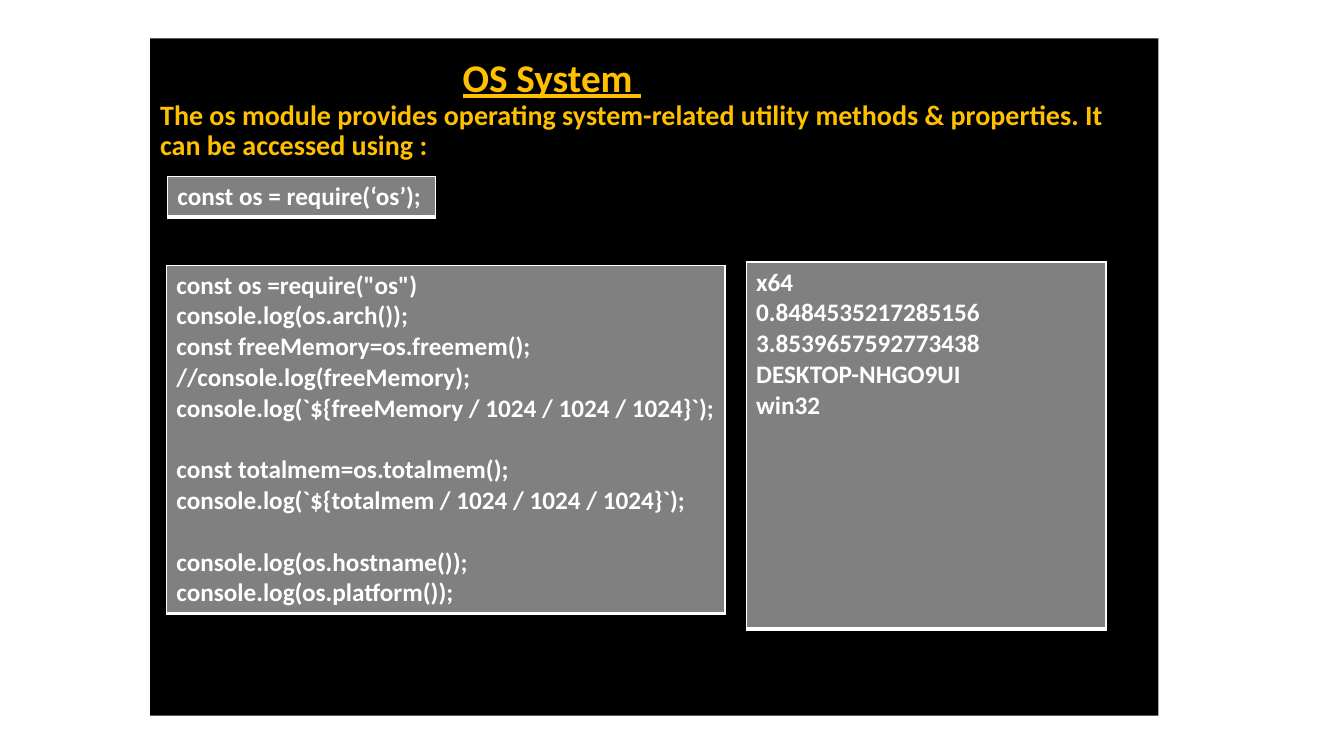
import pptx
import pptx.util
import pptx.dml.color
import pptx.enum.shapes
import pptx.enum.text
import pptx.oxml
import pptx.oxml.ns

Inches = pptx.util.Inches
Pt = pptx.util.Pt

COLORS = {"panel": "000000", "gold": "FFC000", "cell": "808080", "white": "FFFFFF"}
EDGES = {"lnL": 1, "lnR": 1, "lnT": 1, "lnB": 3}

IMPORT = ["const os = require(‘os’);"]
# Each group is set apart by one line of space.
CODE = [
    ['const os =require("os")',
     "console.log(os.arch());",
     "const freeMemory=os.freemem();",
     "//console.log(freeMemory);",
     "console.log(`${freeMemory / 1024 / 1024 / 1024}`);"],
    ["const totalmem=os.totalmem();",
     "console.log(`${totalmem / 1024 / 1024 / 1024}`);"],
    ["console.log(os.hostname());",
     "console.log(os.platform());"],
]
OUTPUT = ["x64", "0.8484535217285156", "3.8539657592773438", "DESKTOP-NHGO9UI", "win32"]
INTRO = ("The os module provides operating system-related utility methods "
         "& properties. It can be accessed using :")


class Deck:
    """Holds the current slide and its text style."""

    def __init__(self, font="Calibri"):
        self.font = font
        self.prs = pptx.Presentation()
        self.prs.slide_width = Inches(13.33)
        self.prs.slide_height = Inches(7.5)
        self.slide = self.prs.slides.add_slide(self.prs.slide_layouts[6])

    def color(self, name):
        return pptx.dml.color.RGBColor.from_string(COLORS[name])

    def label(self, para, text, size, color):
        """Fill a paragraph with styled text."""
        para.text = text
        para.alignment = pptx.enum.text.PP_ALIGN.LEFT
        para.font.name = self.font
        para.font.size = Pt(size)
        para.font.bold = True
        para.font.color.rgb = self.color(color)

    def panel(self, x, y, w, h, title, body):
        box = self.slide.shapes.add_shape(
            pptx.enum.shapes.MSO_SHAPE.RECTANGLE,
            Inches(x), Inches(y), Inches(w), Inches(h))
        box.shadow.inherit = False
        box.fill.solid()
        box.fill.fore_color.rgb = self.color("panel")
        box.line.fill.background()
        frame = box.text_frame
        frame.word_wrap = True
        frame.vertical_anchor = pptx.enum.text.MSO_ANCHOR.TOP
        frame.margin_top = Inches(0.2)
        head, text = frame.paragraphs[0], frame.add_paragraph()
        self.label(head, title, 28, "gold")
        head.font.underline = True
        head._p.get_or_add_pPr().set("marL", str(Inches(3)))
        self.label(text, body, 20, "gold")
        for para in (head, text):
            para.line_spacing = 0.9

    def card(self, x, y, w, h, groups):
        """Add a one-cell table with groups of lines."""
        table = self.slide.shapes.add_table(
            1, 1, Inches(x), Inches(y), Inches(w), Inches(h)).table
        table.first_row = table.horz_banding = False
        cell = table.cell(0, 0)
        cell.fill.solid()
        cell.fill.fore_color.rgb = self.color("cell")
        self.edge(cell)
        frame = cell.text_frame
        para = frame.paragraphs[0]
        for i, group in enumerate(groups):
            for j, line in enumerate(group):
                if i or j:
                    para = frame.add_paragraph()
                self.label(para, line, 18, "white")
                if i and j == 0:
                    para.space_before = Pt(22)

    def edge(self, cell):
        """Draw the borders, heavier at the bottom."""
        props = cell._tc.get_or_add_tcPr()
        for i, (tag, width) in enumerate(EDGES.items()):
            props.insert(i, pptx.oxml.parse_xml(
                f'<a:{tag} {pptx.oxml.ns.nsdecls("a")} w="{Pt(width)}"><a:solidFill>'
                f'<a:srgbClr val="{COLORS["white"]}"/></a:solidFill></a:{tag}>'))


def main():
    deck = Deck()
    deck.panel(1.49, 0.38, 10, 6.72, "OS System ", INTRO)
    deck.card(1.66, 1.75, 2.66, 0.4, [IMPORT])
    deck.card(1.65, 2.63, 5.54, 3.4, CODE)
    deck.card(7.4, 2.6, 3.57, 3.64, [OUTPUT])
    deck.prs.save("out.pptx")


if __name__ == "__main__":
    main()
